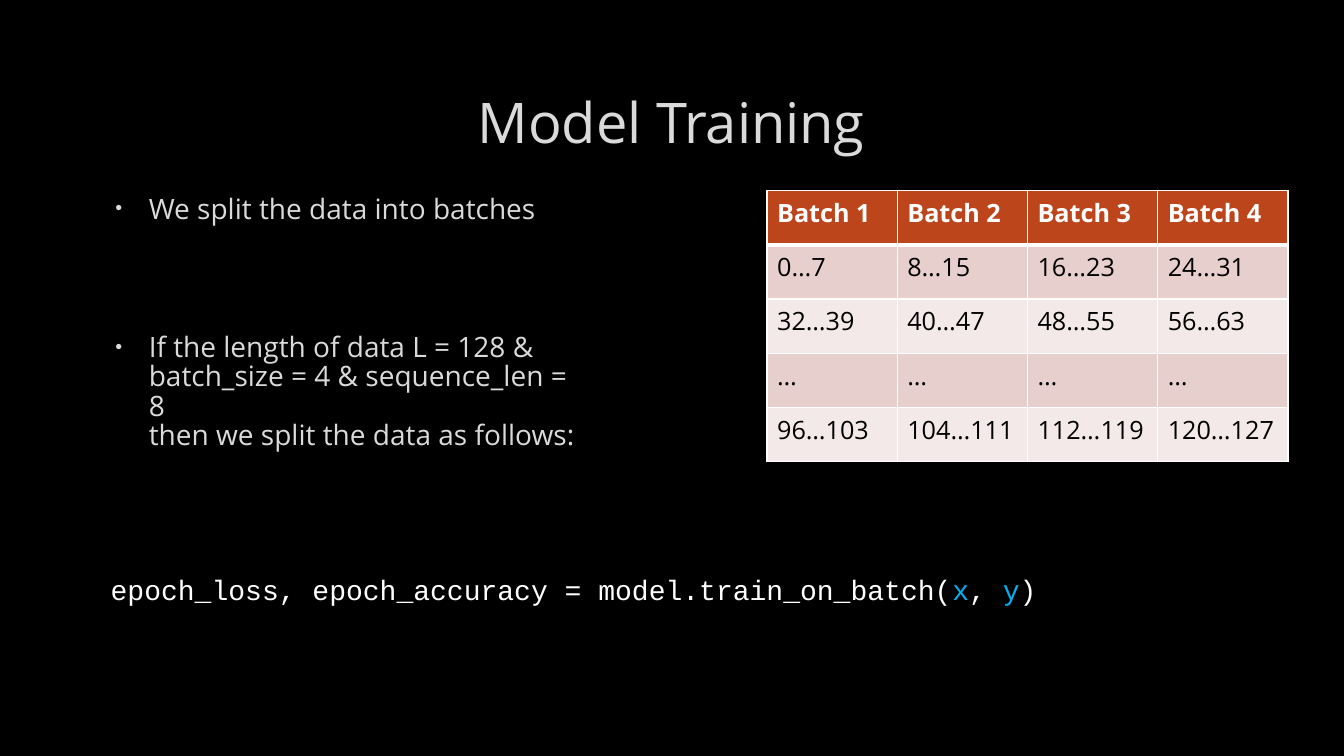
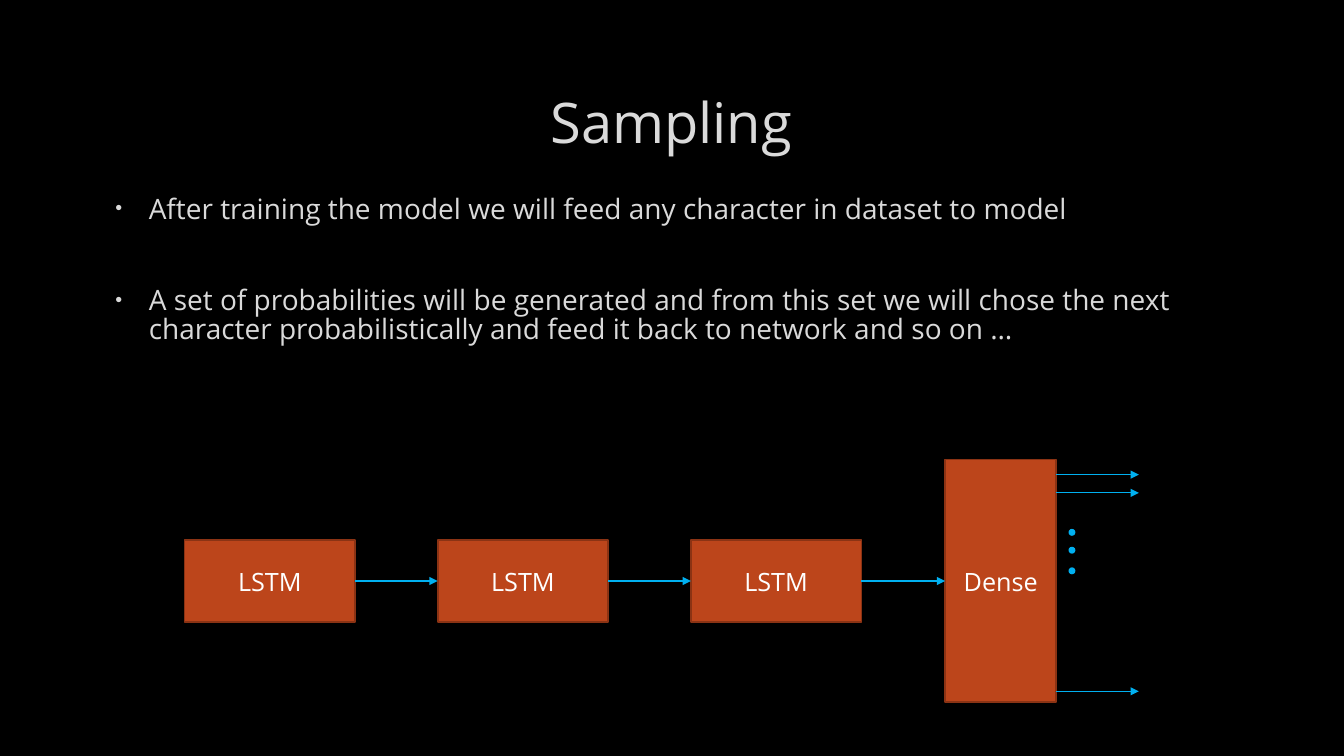
"""Build two slides on training and sampling a character-level LSTM model."""
from lxml import etree
from pptx import Presentation
from pptx.dml.color import RGBColor
from pptx.enum.shapes import MSO_CONNECTOR, MSO_SHAPE
from pptx.enum.text import MSO_ANCHOR, PP_ALIGN
from pptx.oxml.ns import qn
from pptx.util import Cm, Pt

BLACK = RGBColor(0x00, 0x00, 0x00)
WHITE = RGBColor(0xFF, 0xFF, 0xFF)
SILVER = RGBColor(0xDA, 0xDA, 0xDA)
RUST = RGBColor(0xBC, 0x45, 0x1B)
DARK_RUST = RGBColor(0x8B, 0x33, 0x14)
ROSE = RGBColor(0xE7, 0xCF, 0xCD)
PALE_ROSE = RGBColor(0xF3, 0xE9, 0xE8)
SKY = RGBColor(0x00, 0xB0, 0xF0)

STRAIGHT = MSO_CONNECTOR.STRAIGHT
RECTANGLE, OVAL = MSO_SHAPE.RECTANGLE, MSO_SHAPE.OVAL
CENTER, MIDDLE, TOP = PP_ALIGN.CENTER, MSO_ANCHOR.MIDDLE, MSO_ANCHOR.TOP
SANS, MONO = "Open Sans", "Courier New"
TITLE_ONLY = 5
MARGIN, CONTENT_WIDTH, BODY_TOP = Cm(2.54), Cm(28.75), Cm(4.8)


def add_run(paragraph, text, size, color, font=SANS, bold=False):
    run = paragraph.add_run()
    run.text = text
    run.font.name = font
    run.font.size = Pt(size)
    run.font.bold = bold
    run.font.color.rgb = color


def add_topic_slide(heading, bullets, bullets_width, bullet_gap):
    slide = prs.slides.add_slide(prs.slide_layouts[TITLE_ONLY])
    title = slide.shapes.title
    title.left, title.top, title.width, title.height = MARGIN, Cm(1.7), CONTENT_WIDTH, Cm(2.7)
    title.text_frame.vertical_anchor = MIDDLE
    title.text_frame.paragraphs[0].alignment = CENTER
    add_run(title.text_frame.paragraphs[0], heading, 40, SILVER)

    body = slide.shapes.add_textbox(MARGIN, BODY_TOP, bullets_width, Cm(11.28)).text_frame
    body.word_wrap = True
    body.vertical_anchor = TOP
    for index, lines in enumerate(bullets):
        paragraph = body.add_paragraph() if index else body.paragraphs[0]
        paragraph.line_spacing = 0.88
        paragraph.space_before = Pt(bullet_gap if index else 4)
        props = paragraph._p.get_or_add_pPr()
        props.set("marL", str(Cm(0.96)))
        props.set("indent", str(-Cm(0.84)))
        bullet_color = etree.SubElement(props, qn("a:buClr"))
        etree.SubElement(bullet_color, qn("a:srgbClr"), val=str(SILVER))
        etree.SubElement(props, qn("a:buSzPct"), val="70000")
        etree.SubElement(props, qn("a:buFont"), typeface="Arial")
        etree.SubElement(props, qn("a:buChar"), char="•")
        for line_index, line in enumerate(lines):
            if line_index:
                paragraph.add_line_break()
            add_run(paragraph, line, 20, SILVER)
    return slide


prs = Presentation()
prs.slide_width, prs.slide_height = Cm(33.87), Cm(19.05)
prs.slide_master.background.fill.solid()
prs.slide_master.background.fill.fore_color.rgb = BLACK

training = add_topic_slide(
    "Model Training",
    [
        ["We split the data into batches"],
        ["If the length of data L = 128 & batch_size = 4 & sequence_len = 8",
         "then we split the data as follows:"],
    ],
    Cm(12.52), 77.5)

batch_rows = [
    ["Batch 1", "Batch 2", "Batch 3", "Batch 4"],
    ["0…7", "8…15", "16…23", "24…31"],
    ["32…39", "40…47", "48…55", "56…63"],
    ["…", "…", "…", "…"],
    ["96…103", "104…111", "112…119", "120…127"],
]
batches = training.shapes.add_table(
    len(batch_rows), len(batch_rows[0]), Cm(19.33), BODY_TOP, Cm(13.13), Cm(6.83)).table
for row_index, batch_row in enumerate(batch_rows):
    is_header = row_index == 0
    for column_index, label in enumerate(batch_row):
        cell = batches.cell(row_index, column_index)
        cell_props = cell._tc.get_or_add_tcPr()
        for side in ("lnL", "lnR", "lnT", "lnB"):
            under_header = (row_index, side) in ((0, "lnB"), (1, "lnT"))
            border = etree.SubElement(
                cell_props, qn(f"a:{side}"), w=str(Pt(3 if under_header else 1)))
            border_fill = etree.SubElement(border, qn("a:solidFill"))
            etree.SubElement(border_fill, qn("a:srgbClr"), val=str(WHITE))
        cell.fill.solid()
        cell.fill.fore_color.rgb = RUST if is_header else ROSE if row_index % 2 else PALE_ROSE
        add_run(cell.text_frame.paragraphs[0], label, 18,
                WHITE if is_header else BLACK, bold=is_header)

code = training.shapes.add_textbox(MARGIN, Cm(14.3), Cm(26.47), Cm(1.96)).text_frame
code.word_wrap = True
for text, color in [
    ("epoch_loss, epoch_accuracy = model.train_on_batch(", WHITE),
    ("x", SKY),
    (", ", WHITE),
    ("y", SKY),
    (")", WHITE),
]:
    add_run(code.paragraphs[0], text, 20, color, MONO)

sampling = add_topic_slide(
    "Sampling",
    [
        ["After training the model we will feed any character in dataset to model"],
        ["A set of probabilities will be generated and from this set we will chose the next "
         "character probabilistically and feed it back to network and so on …"],
    ],
    CONTENT_WIDTH, 44)

layer_boxes = [("LSTM", 4.65 + 6.38 * step, 13.61, 4.3, 2.06) for step in range(3)]
layer_boxes.append(("Dense", 23.82, 11.58, 2.8, 6.12))
layers = []
for label, left, top, width, height in layer_boxes:
    layer = sampling.shapes.add_shape(RECTANGLE, Cm(left), Cm(top), Cm(width), Cm(height))
    layer.shadow.inherit = False
    layer.fill.solid()
    layer.fill.fore_color.rgb = RUST
    layer.line.color.rgb = DARK_RUST
    layer.line.width = Pt(1.25)
    layer.text_frame.vertical_anchor = MIDDLE
    layer.text_frame.paragraphs[0].alignment = CENTER
    add_run(layer.text_frame.paragraphs[0], label, 18, WHITE)
    layers.append(layer)

arrows = []
for source, target in zip(layers, layers[1:]):
    arrow = sampling.shapes.add_connector(STRAIGHT, 0, 0, 0, 0)
    arrow.begin_connect(source, 3)
    arrow.end_connect(target, 1)
    arrows.append(arrow)
for output_y in (11.96, 12.42, 17.42):
    arrows.append(sampling.shapes.add_connector(
        STRAIGHT, Cm(26.62), Cm(output_y), Cm(28.7), Cm(output_y)))
for arrow in arrows:
    arrow.line.color.rgb = SKY
    arrow.line.width = Pt(0.75)
    etree.SubElement(arrow.line._get_or_add_ln(), qn("a:tailEnd"), type="triangle")
    etree.SubElement(arrow._element.spPr, qn("a:effectLst"))

for dot_y in (13.35, 13.8, 14.32):
    dot = sampling.shapes.add_shape(OVAL, Cm(26.95), Cm(dot_y), Cm(0.13), Cm(0.13))
    dot.shadow.inherit = False
    dot.fill.solid()
    dot.fill.fore_color.rgb = SKY
    dot.line.color.rgb = SKY
    dot.line.width = Pt(1.25)

prs.save("out.pptx")
